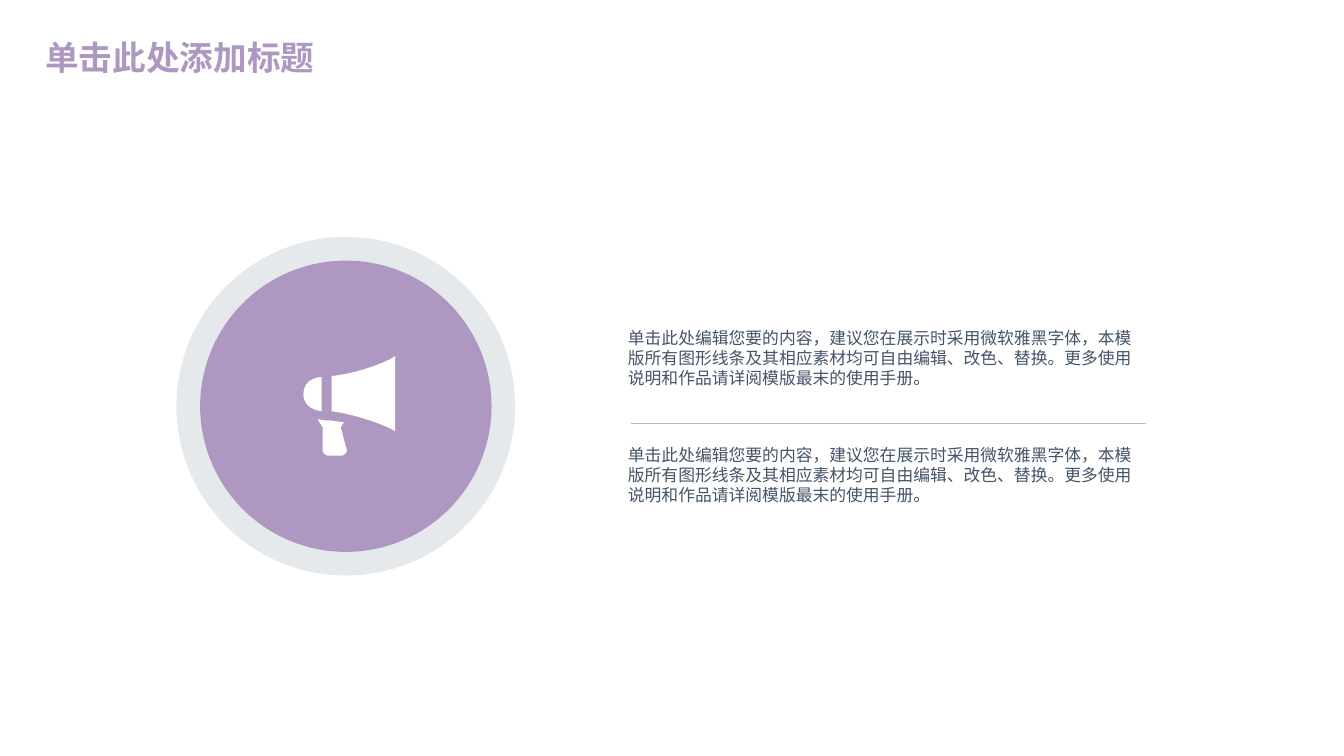
from lxml import etree
from pptx import Presentation
from pptx.dml.color import RGBColor
from pptx.enum import shapes, text
from pptx.oxml import ns
from pptx.util import Inches, Pt

PURPLE = RGBColor(0xAE, 0x97, 0xC0)
RING_GREY = RGBColor(0xE6, 0xE9, 0xEC)
RULE_GREY = RGBColor(0xAD, 0xBA, 0xCA)
SLATE = RGBColor(0x44, 0x54, 0x69)
WHITE = RGBColor(0xFF, 0xFF, 0xFF)
FONT = "Noto Sans CJK SC"

TITLE = "单击此处添加标题"
BODY = ("单击此处编辑您要的内容，建议您在展示时采用微软雅黑字体，"
        "本模版所有图形线条及其相应素材均可自由编辑、改色、替换。"
        "更多使用说明和作品请详阅模版最末的使用手册。")

# Megaphone outlines in inches: a start, then lines (2 numbers) or curves (6)
HANDLE = [(.14, .63), (.19, .71), (.19, .94), (.19, .96, .22, .99, .24, .99),
          (.38, .99), (.40, .99, .43, .96, .43, .94), (.37, .71), (.40, .66),
          (.33, .65, .26, .64, .21, .64), (.18, .64, .16, .63, .14, .63)]
HORN = [(.28, .55), (.53, .58, .87, .71, .91, .75), (.91, 0),
        (.86, .05, .53, .18, .28, .20)]
BACK = [(.18, .55), (.18, .21), (.04, .22, 0, .31, 0, .38),
        (0, .44, .03, .53, .18, .55)]


def write(shape, words, size, color, bold=False, wrap=True,
          anchor=text.MSO_ANCHOR.TOP, inset=0.05):
    frame = shape.text_frame
    frame.word_wrap = wrap
    frame.auto_size = text.MSO_AUTO_SIZE.NONE
    frame.vertical_anchor = anchor
    frame.margin_left = frame.margin_right = Inches(0.1)
    frame.margin_top = frame.margin_bottom = Inches(inset)
    paragraph = frame.paragraphs[0]
    paragraph.alignment = text.PP_ALIGN.LEFT
    paragraph.line_spacing = 1.0
    run = paragraph.add_run()
    run.text = words
    run.font.size = Pt(size)
    run.font.bold = bold
    run.font.color.rgb = color
    run.font.name = FONT
    east_asian = etree.SubElement(run.font._element, ns.qn("a:ea"))
    east_asian.set("typeface", FONT)


def paint(shape, color):
    shape.shadow.inherit = False
    shape.fill.solid()
    shape.fill.fore_color.rgb = color
    shape.line.fill.background()


def add_title(slide, left, top, width, height):
    title = slide.shapes.title
    title.left, title.top = Inches(left), Inches(top)
    title.width, title.height = Inches(width), Inches(height)
    write(title, TITLE, 24, PURPLE, bold=True, wrap=False,
          anchor=text.MSO_ANCHOR.MIDDLE, inset=0)


def trace(outline, steps=12):
    """Turn lines and cubic curves into a list of points."""
    points = [outline[0]]
    for segment in outline[1:]:
        if len(segment) == 2:
            points.append(segment)
            continue
        x0, y0 = points[-1]
        x1, y1, x2, y2, x3, y3 = segment
        for step in range(1, steps + 1):
            t = step / steps
            a, b, c, d = (1 - t)**3, 3 * t * (1 - t)**2, 3 * t**2 * (1 - t), t**3
            points.append((a * x0 + b * x1 + c * x2 + d * x3,
                           a * y0 + b * y1 + c * y2 + d * y3))
    return points


def add_megaphone(slide, left, top):
    megaphone = slide.shapes.add_group_shape()
    for outline in (HANDLE, HORN, BACK):
        points = [(Inches(left + x), Inches(top + y)) for x, y in trace(outline)]
        builder = megaphone.shapes.build_freeform(*points[0])
        builder.add_line_segments(points[1:], close=True)
        paint(builder.convert_to_shape(), WHITE)


def add_badge(slide, left, top, size):
    # Grey ring, purple disc and icon
    for gap, color in ((0, RING_GREY), (0.235, PURPLE)):
        disc = slide.shapes.add_shape(
            shapes.MSO_SHAPE.OVAL, Inches(left + gap), Inches(top + gap),
            Inches(size - 2 * gap), Inches(size - 2 * gap))
        paint(disc, color)
    add_megaphone(slide, left + 1.26, top + 1.18)


def add_descriptions(slide, left, top, width, height):
    # Rule between the two paragraphs
    rule_y = Inches(top + 1)
    rule = slide.shapes.add_connector(
        shapes.MSO_CONNECTOR.STRAIGHT, Inches(left + 0.13), rule_y,
        Inches(left + width - 0.12), rule_y)
    rule.line.color.rgb = RULE_GREY
    rule.line.width = Pt(0.5)
    etree.SubElement(rule._element.spPr, ns.qn("a:effectLst"))

    # Paragraphs at the top and the bottom of the box
    paragraph_height = 0.83
    for y in (top, top + height - paragraph_height):
        description = slide.shapes.add_textbox(
            Inches(left), Inches(y), Inches(width), Inches(paragraph_height))
        write(description, BODY, 12, SLATE)


def main():
    deck = Presentation()
    deck.slide_width, deck.slide_height = Inches(13.33), Inches(7.5)
    slide = deck.slides.add_slide(deck.slide_layouts[5])
    add_title(slide, 0.35, 0.32, 3.05, 0.5)
    add_badge(slide, 1.75, 2.35, 3.36)
    add_descriptions(slide, 6.13, 3.2, 5.36, 1.99)
    deck.save("out.pptx")


if __name__ == "__main__":
    main()
